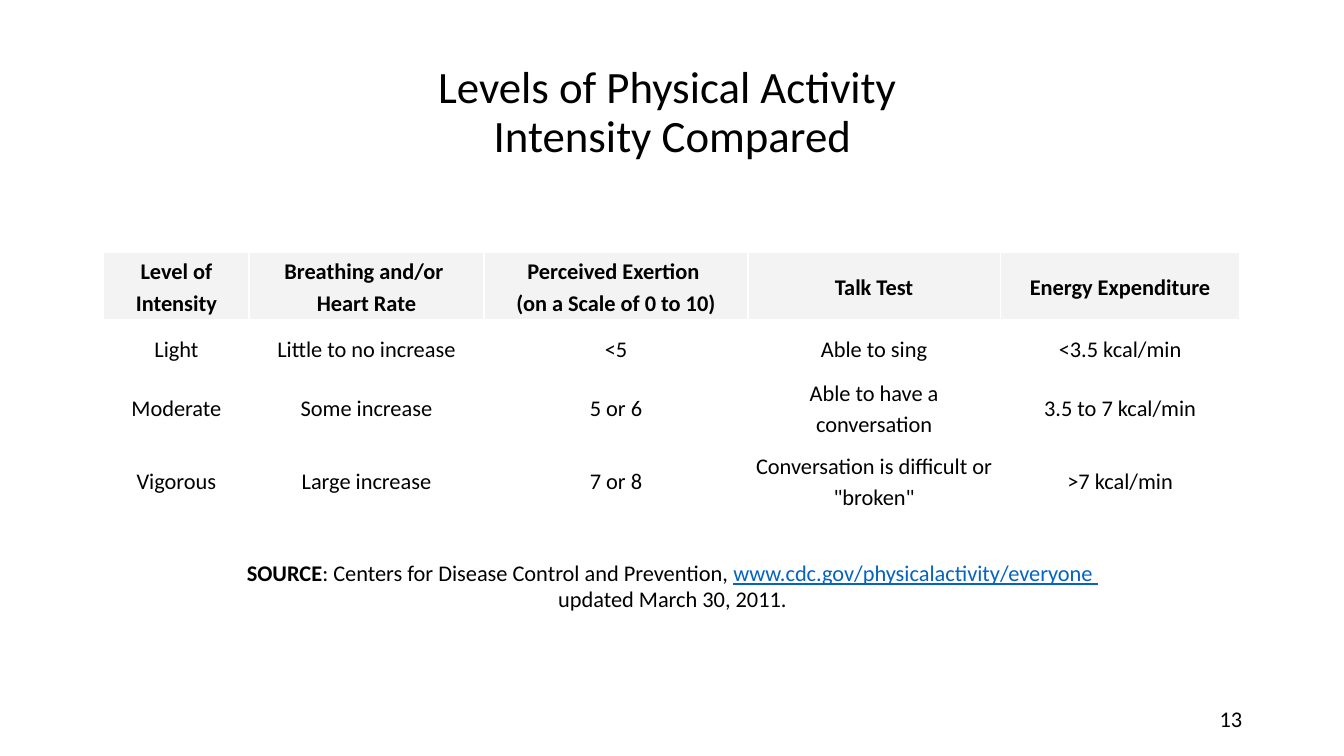
from pptx import Presentation
from pptx.dml.color import RGBColor
from pptx.enum.text import MSO_ANCHOR, PP_ALIGN
from pptx.util import Inches, Pt

CENTER, RIGHT = PP_ALIGN.CENTER, PP_ALIGN.RIGHT
TOP, MIDDLE = MSO_ANCHOR.TOP, MSO_ANCHOR.MIDDLE

# Content
FONT = "Calibri"
COLORS = {"text": "000000", "link": "0563C1", "header": "F3F3F3"}

TITLE = ["Levels of Physical Activity ", "Intensity Compared"]
HEADER = [
    ["Level of Intensity"],
    ["Breathing and/or ", "Heart Rate"],
    ["Perceived Exertion ", "(on a Scale of 0 to 10)"],
    ["Talk Test"],
    ["Energy Expenditure"],
]
LEVELS = [
    ("Light", "Little to no increase", "<5", "Able to sing", "<3.5 kcal/min"),
    ("Moderate", "Some increase", "5 or 6", "Able to have a conversation", "3.5 to 7 kcal/min"),
    ("Vigorous", "Large increase", "7 or 8", 'Conversation is difficult or "broken"', ">7 kcal/min"),
]
COLUMN_WIDTHS = [1.44, 2.33, 2.62, 2.5, 2.38]
ROW_HEIGHTS = [0.67, 0.56, 0.56, 0.84]
# Each source line is a list of (text, style) runs
SOURCE = [
    [
        ("SOURCE", "bold"),
        (": Centers for Disease Control and Prevention, ", "plain"),
        ("www.cdc.gov/physicalactivity/everyone ", "link"),
    ],
    [("updated March 30, 2011.", "plain")],
]
PAGE_NUMBER = "13"


def plain_lines(lines, style="plain"):
    return [[(line, style)] for line in lines]


def write(frame, lines, size=16, align=CENTER, spacing=1.0):
    for index, runs in enumerate(lines):
        para = frame.add_paragraph() if index else frame.paragraphs[0]
        para.alignment = align
        para.line_spacing = spacing
        for text, style in runs:
            span = para.add_run()
            span.text = text
            font = span.font
            font.name, font.size = FONT, Pt(size)
            font.bold = style == "bold"
            font.underline = style == "link"
            font.color.rgb = RGBColor.from_string(COLORS["link" if style == "link" else "text"])


def add_text(page, area, lines, anchor=TOP, **style):
    box = page.shapes.add_textbox(*map(Inches, area))
    box.text_frame.word_wrap = True
    box.text_frame.vertical_anchor = anchor
    write(box.text_frame, lines, **style)


def add_levels_table(page):
    size = (sum(COLUMN_WIDTHS), sum(ROW_HEIGHTS))
    frame = page.shapes.add_table(len(ROW_HEIGHTS), len(COLUMN_WIDTHS), *map(Inches, (1.03, 2.5, *size)))
    table = frame.table
    table.first_row = table.horz_banding = False
    for column, width in zip(table.columns, COLUMN_WIDTHS):
        column.width = Inches(width)
    for row, height in zip(table.rows, ROW_HEIGHTS):
        row.height = Inches(height)

    rows = [HEADER] + [[[text] for text in level] for level in LEVELS]
    for row_index, row in enumerate(rows):
        for column_index, lines in enumerate(row):
            cell = table.cell(row_index, column_index)
            cell.vertical_anchor = MIDDLE
            cell.margin_left = cell.margin_right = Inches(0.03)
            cell.margin_top = cell.margin_bottom = 0
            if row_index == 0:
                cell.fill.solid()
                cell.fill.fore_color.rgb = RGBColor.from_string(COLORS["header"])
            else:
                cell.fill.background()
            style = "plain" if row_index else "bold"
            write(cell.text_frame, plain_lines(lines, style), spacing=1.15)


def main():
    deck = Presentation()
    deck.slide_width, deck.slide_height = Inches(13.33), Inches(7.5)
    page = deck.slides.add_slide(deck.slide_layouts[6])

    # Title
    add_text(page, (2.13, 0.4, 9.08, 1.45), plain_lines(TITLE), anchor=MIDDLE, size=32, spacing=0.9)
    # Intensity table
    add_levels_table(page)
    # Source and page number
    add_text(page, (1.25, 5.52, 10.84, 1.07), SOURCE, spacing=0.95)
    add_text(page, (9.42, 6.95, 3, 0.4), plain_lines([PAGE_NUMBER]), align=RIGHT)

    deck.save("out.pptx")


if __name__ == "__main__":
    main()
